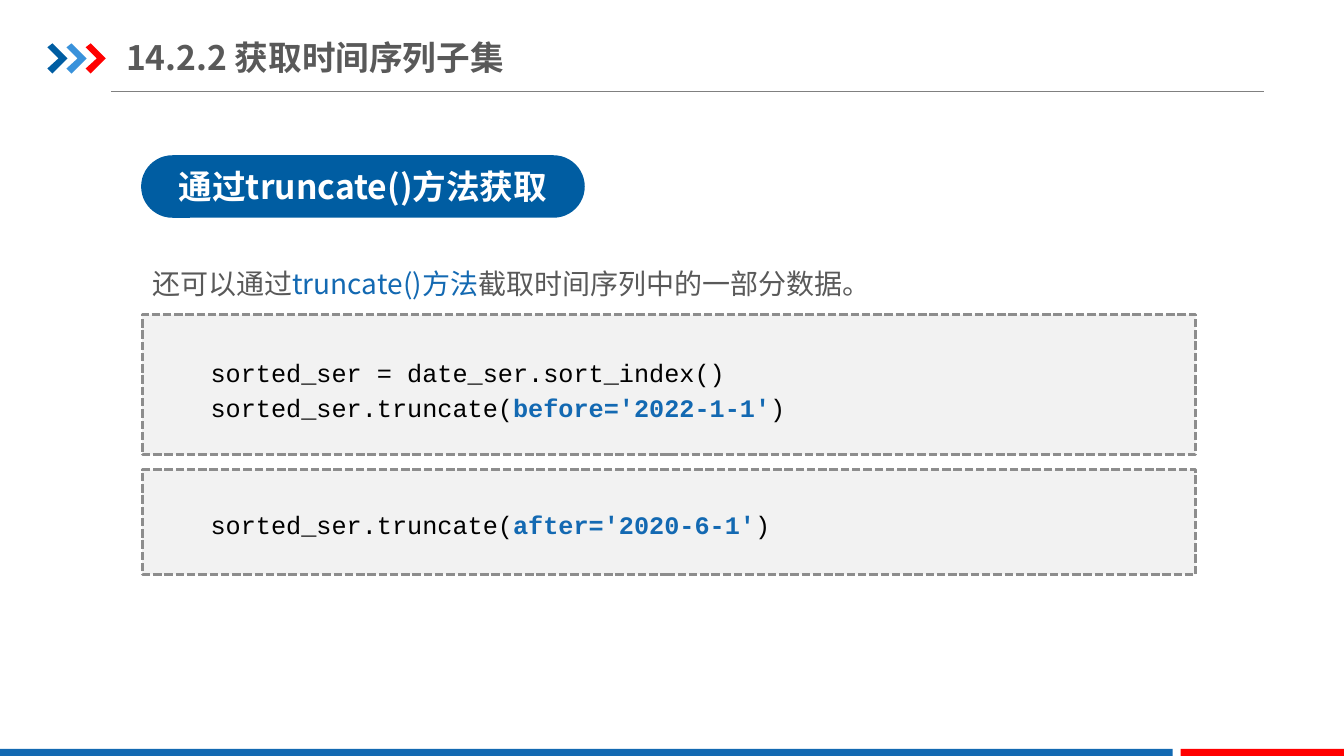
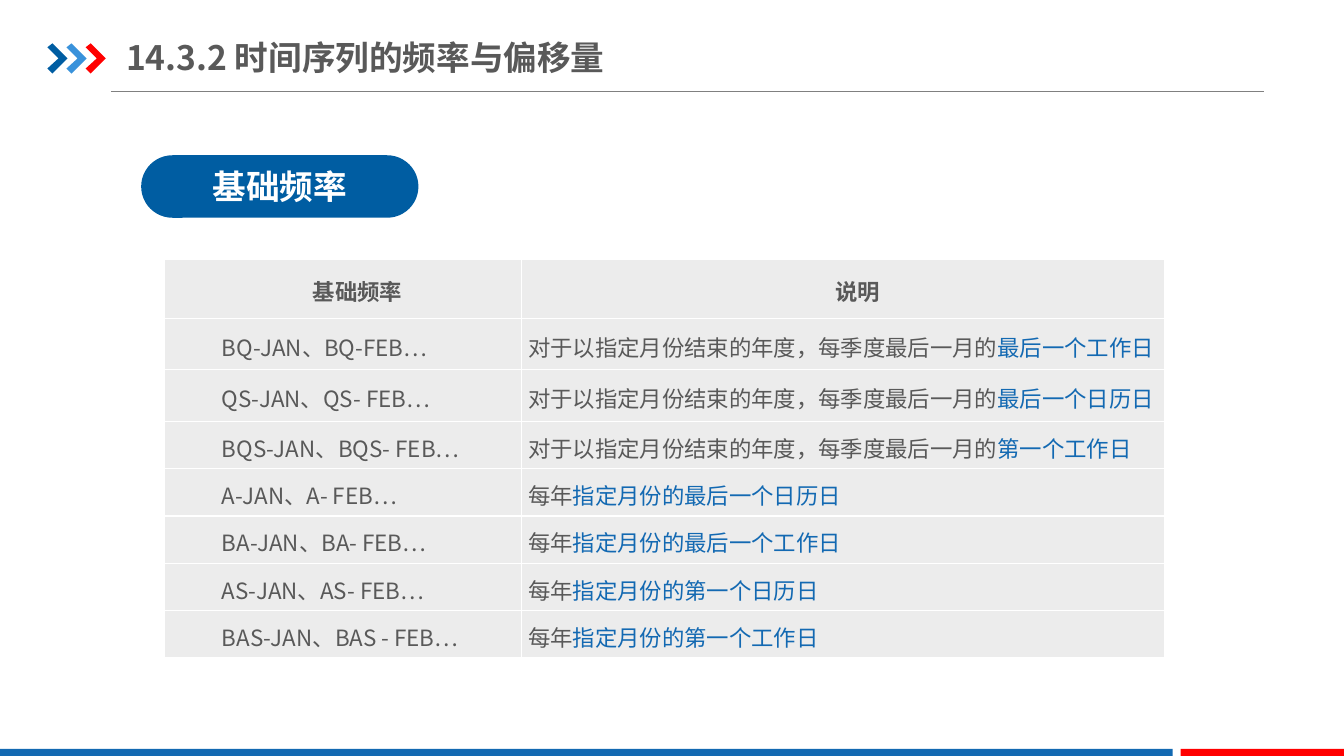
from dataclasses import dataclass
from typing import NamedTuple

from lxml import etree
from pptx import Presentation
from pptx import util as u
from pptx.dml.color import RGBColor
from pptx.enum import dml, shapes, text
from pptx.oxml.ns import qn

SANS, MONO = "Noto Sans CJK SC", "Courier New"
NAVY, BLUE, SKY, RED = "005DA2", "1369B2", "3992DB", "FF0000"
INK, BLACK, WHITE = "595959", "000000", "FFFFFF"
RULE, DASH, PANEL, CELL = "808080", "8D8D8D", "F2F2F2", "ECECEC"

Box = tuple[float, float, float, float]


class Span(NamedTuple):
    text: str
    color: str = INK
    bold: bool = False


@dataclass
class Style:
    size: float
    font: str = SANS
    align: text.PP_ALIGN = text.PP_ALIGN.LEFT
    spacing: float = 1.0
    indent: float = 0.0


@dataclass
class CodePanel:
    top: float
    height: float
    text_top: float
    text_height: float
    lines: list[list[Span]]


@dataclass
class Frequency:
    codes: str
    lead: str
    emphasis: str


HEADING = Style(24)
BADGE = Style(24, align=text.PP_ALIGN.CENTER)
BODY = Style(20, spacing=1.5)
CODE = Style(18, MONO, spacing=1.15, indent=0.29)
TABLE_HEAD = Style(16, align=text.PP_ALIGN.CENTER, spacing=1.15, indent=0.29)
TABLE_CODE = Style(16, spacing=1.15, indent=0.5)
TABLE_NOTE = Style(16, spacing=1.15)


def rgb(color: str) -> RGBColor:
    return RGBColor.from_string(color)


def inches(box: Box) -> list[u.Length]:
    return [u.Inches(value) for value in box]


def write(frame, lines: list[list[Span]], style: Style) -> None:
    """Fill a text frame, one list of spans per paragraph."""
    for number, spans in enumerate(lines):
        paragraph = frame.add_paragraph() if number else frame.paragraphs[0]
        paragraph.alignment = style.align
        paragraph.line_spacing = style.spacing
        paragraph.space_before = u.Pt(0)
        if style.indent:
            paragraph._p.get_or_add_pPr().set("indent", str(u.Inches(style.indent)))
        for span in spans:
            run = paragraph.add_run()
            run.text = span.text
            run.font.size = u.Pt(style.size)
            run.font.bold = span.bold
            run.font.color.rgb = rgb(span.color)
            run.font.name = style.font
            east_asian = etree.SubElement(run._r.get_or_add_rPr(), qn("a:ea"))
            east_asian.set("typeface", style.font)


def paint(shape, color: str) -> None:
    shape.shadow.inherit = False
    shape.fill.solid()
    shape.fill.fore_color.rgb = rgb(color)
    shape.line.fill.background()


def add_block(slide, kind: shapes.MSO_SHAPE, box: Box, color: str):
    block = slide.shapes.add_shape(kind, *inches(box))
    paint(block, color)
    return block


def add_text(slide, box: Box, lines: list[list[Span]], style: Style) -> None:
    area = slide.shapes.add_textbox(*inches(box))
    area.text_frame.word_wrap = True
    write(area.text_frame, lines, style)


def add_chevron(slide, left: float, color: str) -> None:
    outline = [(0, 0.04), (0.05, 0), (0.2, 0.15), (0.05, 0.3), (0, 0.25), (0.11, 0.15)]
    points = [(u.Inches(left + x), u.Inches(0.43 + y)) for x, y in outline]
    builder = slide.shapes.build_freeform(*points[0], scale=1.0)
    builder.add_line_segments(points[1:], close=True)
    paint(builder.convert_to_shape(), color)


def add_page(deck, heading: str, heading_width: float, topic: str, badge_width: float):
    """Title-only slide with the shared heading, bands and topic badge."""
    slide = deck.slides.add_slide(deck.slide_layouts[5])

    # Heading
    title = slide.shapes.title
    title.left, title.top, title.width, title.height = inches((1.25, 0.29, heading_width, 0.55))
    frame = title.text_frame
    frame.auto_size = text.MSO_AUTO_SIZE.NONE
    frame.word_wrap = True
    frame.vertical_anchor = text.MSO_ANCHOR.MIDDLE
    frame.margin_left = frame.margin_right = 0
    frame.margin_top = frame.margin_bottom = u.Inches(0.07)
    write(frame, [[Span(heading, INK, True)]], HEADING)

    # Rule and chevrons
    rule = slide.shapes.add_connector(
        shapes.MSO_CONNECTOR.STRAIGHT, *inches((1.1, 0.91, 12.54, 0.91)))
    rule.line.color.rgb = rgb(RULE)
    rule.line.width = u.Pt(0.75)
    etree.SubElement(rule._element.spPr, qn("a:effectLst"))
    for place, color in enumerate((NAVY, SKY, RED)):
        add_chevron(slide, 0.47 + 0.19 * place, color)

    # Footer bands
    add_block(slide, shapes.MSO_SHAPE.RECTANGLE, (0, 7.43, 11.63, 0.09), BLUE)
    add_block(slide, shapes.MSO_SHAPE.RECTANGLE, (11.71, 7.43, 1.63, 0.09), RED)

    # Topic badge
    badge = add_block(
        slide, shapes.MSO_SHAPE.ROUNDED_RECTANGLE, (1.4, 1.54, badge_width, 0.62), NAVY)
    badge.adjustments[0] = 0.5
    badge.text_frame.vertical_anchor = text.MSO_ANCHOR.MIDDLE
    write(badge.text_frame, [[Span(topic, WHITE, True)]], BADGE)
    return slide


def add_code_panel(slide, panel: CodePanel) -> None:
    backdrop = add_block(
        slide, shapes.MSO_SHAPE.RECTANGLE, (1.41, panel.top, 10.45, panel.height), PANEL)
    backdrop.line.color.rgb = rgb(DASH)
    backdrop.line.width = u.Pt(2)
    # SQUARE_DOT is the sysDot preset, so the short dash is set directly
    backdrop.line.dash_style = dml.MSO_LINE.DASH
    backdrop.line._ln.find(qn("a:prstDash")).set("val", "sysDash")
    add_text(slide, (1.7, panel.text_top, 8.96, panel.text_height), panel.lines, CODE)


def fill_cell(cell, spans: list[Span], style: Style) -> None:
    cell.vertical_anchor = text.MSO_ANCHOR.MIDDLE
    cell.margin_left = cell.margin_right = u.Inches(0.07)
    cell.margin_top = cell.margin_bottom = 0
    properties = cell._tc.get_or_add_tcPr()
    for side in ("a:lnL", "a:lnR", "a:lnT", "a:lnB"):
        border = etree.SubElement(properties, qn(side), w=str(u.Pt(1)))
        paint_fill = etree.SubElement(border, qn("a:solidFill"))
        etree.SubElement(paint_fill, qn("a:srgbClr"), val=WHITE)
    cell.fill.solid()
    cell.fill.fore_color.rgb = rgb(CELL)
    write(cell.text_frame, [spans], style)


def add_frequency_table(slide, frequencies: list[Frequency]) -> None:
    widths = [3.54, 6.38]
    heights = [0.59] + [0.51] * 2 + [0.47] * 5
    table = slide.shapes.add_table(
        len(heights), len(widths), *inches((1.63, 2.57, sum(widths), sum(heights)))).table
    table.first_row = table.horz_banding = False
    for column, width in zip(table.columns, widths):
        column.width = u.Inches(width)
    for row, height in zip(table.rows, heights):
        row.height = u.Inches(height)
    for column, label in enumerate(("基础频率", "说明")):
        fill_cell(table.cell(0, column), [Span(label, INK, True)], TABLE_HEAD)
    for row, item in enumerate(frequencies, start=1):
        fill_cell(table.cell(row, 0), [Span(item.codes)], TABLE_CODE)
        fill_cell(table.cell(row, 1), [Span(item.lead), Span(item.emphasis, BLUE)], TABLE_NOTE)


def truncate_call(argument: str) -> list[Span]:
    return [Span("sorted_ser.truncate(", BLACK), Span(argument, BLUE, True), Span(")", BLACK)]


def build_truncate_slide(deck) -> None:
    slide = add_page(deck, "14.2.2 获取时间序列子集", 4.55, "通过truncate()方法获取", 4.4)
    intro = [Span("还可以通过"), Span("truncate()方法", BLUE),
             Span("截取时间序列中的一部分数据。")]
    add_text(slide, (1.41, 2.43, 10.45, 0.61), [intro], BODY)
    sort_line = [Span("sorted_ser = date_ser.sort_index()", BLACK)]
    for panel in (
        CodePanel(3.12, 1.39, 3.45, 0.8, [sort_line, truncate_call("before='2022-1-1'")]),
        CodePanel(4.66, 1.04, 4.96, 0.45, [truncate_call("after='2020-6-1'")]),
    ):
        add_code_panel(slide, panel)


def build_frequency_slide(deck) -> None:
    slide = add_page(deck, "14.3.2 时间序列的频率与偏移量", 4.94, "基础频率", 2.75)
    quarterly, yearly = "对于以指定月份结束的年度，每季度最后一月的", "每年"
    add_frequency_table(slide, [
        Frequency("BQ-JAN、BQ-FEB…", quarterly, "最后一个工作日"),
        Frequency("QS-JAN、QS- FEB…", quarterly, "最后一个日历日"),
        Frequency("BQS-JAN、BQS- FEB…", quarterly, "第一个工作日"),
        Frequency("A-JAN、A- FEB…", yearly, "指定月份的最后一个日历日"),
        Frequency("BA-JAN、BA- FEB…", yearly, "指定月份的最后一个工作日"),
        Frequency("AS-JAN、AS- FEB…", yearly, "指定月份的第一个日历日"),
        Frequency("BAS-JAN、BAS - FEB…", yearly, "指定月份的第一个工作日"),
    ])


def main() -> None:
    deck = Presentation()
    deck.slide_width, deck.slide_height = u.Inches(13.33), u.Inches(7.5)
    build_truncate_slide(deck)
    build_frequency_slide(deck)
    deck.save("out.pptx")


if __name__ == "__main__":
    main()
